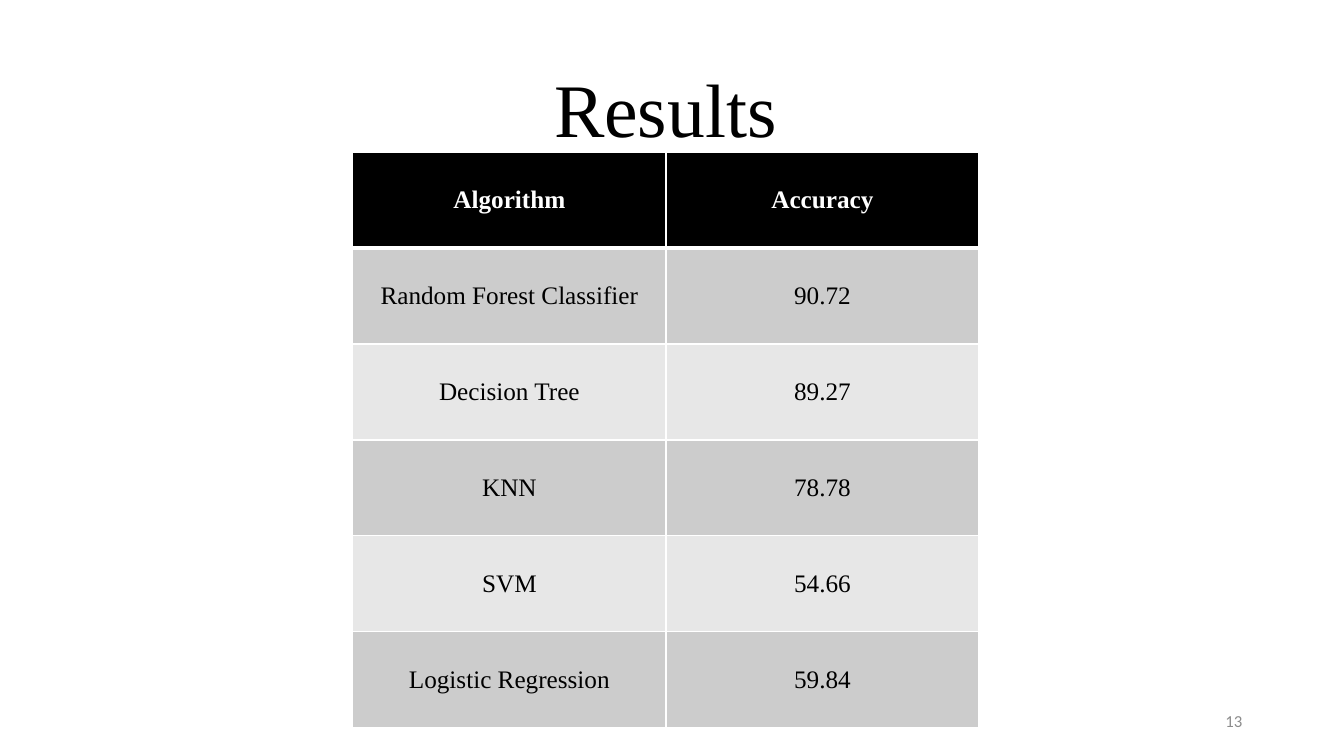
from lxml.etree import SubElement
from pptx import Presentation
from pptx.dml.color import RGBColor
from pptx.enum.text import MSO_ANCHOR, PP_ALIGN
from pptx.oxml.ns import qn
from pptx.util import Pt

PX = 9144
COLORS = {
    "black": "000000",
    "white": "FFFFFF",
    "dark": "CCCCCC",
    "light": "E7E7E7",
    "grey": "8C8C8C",
}
SERIF = "Times New Roman"
ROWS = [
    ("Algorithm", "Accuracy"),
    ("Random Forest Classifier", "90.72"),
    ("Decision Tree", "89.27"),
    ("KNN", "78.78"),
    ("SVM", "54.66"),
    ("Logistic Regression", "59.84"),
]


def scale(box):
    """Turn a box in px into EMU."""
    return [value * PX for value in box]


def write(frame, text, size, font, color, align=PP_ALIGN.CENTER, bold=False):
    """Write one run into the first paragraph and return that paragraph."""
    para = frame.paragraphs[0]
    para.alignment = align
    run = para.add_run()
    run.text = text
    run.font.size = Pt(size)
    run.font.name = font
    run.font.bold = bold
    run.font.color.rgb = RGBColor.from_string(COLORS[color])
    return para


def add_box(slide, box):
    """Add a wrapped, middle-anchored text box and return its frame."""
    frame = slide.shapes.add_textbox(*scale(box)).text_frame
    frame.word_wrap = True
    frame.vertical_anchor = MSO_ANCHOR.MIDDLE
    return frame


def add_title(slide, box):
    """Place the slide title."""
    para = write(add_box(slide, box), "Results", 54, SERIF, "black")
    para.line_spacing = 0.9


def add_edges(cell, base):
    """Draw white cell borders, with the given width at the bottom."""
    props = cell._tc.get_or_add_tcPr()
    widths = {"lnL": 1, "lnR": 1, "lnT": 1, "lnB": base}
    for side, width in widths.items():
        line = SubElement(props, qn(f"a:{side}"), w=str(Pt(width)))
        fill = SubElement(line, qn("a:solidFill"))
        SubElement(fill, qn("a:srgbClr"), val=COLORS["white"])


def add_scores(slide, box):
    """Place the table of algorithms and their accuracy."""
    shape = slide.shapes.add_table(len(ROWS), len(ROWS[0]), *scale(box))
    table = shape.table
    for i, row in enumerate(ROWS):
        head = i == 0
        shade = "black" if head else ("light", "dark")[i % 2]
        for j, text in enumerate(row):
            cell = table.cell(i, j)
            cell.vertical_anchor = MSO_ANCHOR.MIDDLE
            add_edges(cell, 3 if head else 1)
            cell.fill.solid()
            cell.fill.fore_color.rgb = RGBColor.from_string(COLORS[shade])
            ink = "white" if head else "black"
            write(cell.text_frame, text, 18, SERIF, ink, bold=head)


def add_number(slide, box):
    """Place the slide number."""
    write(add_box(slide, box), "13", 12, "Calibri", "grey", PP_ALIGN.RIGHT)


def main():
    """Build and save the slide."""
    deck = Presentation()
    deck.slide_width, deck.slide_height = scale((1333, 750))
    slide = deck.slides.add_slide(deck.slide_layouts[6])
    add_title(slide, (85, 40, 1150, 145))
    add_scores(slide, (350, 151, 621, 571))
    add_number(slide, (942, 695, 300, 40))
    deck.save("out.pptx")


if __name__ == "__main__":
    main()
